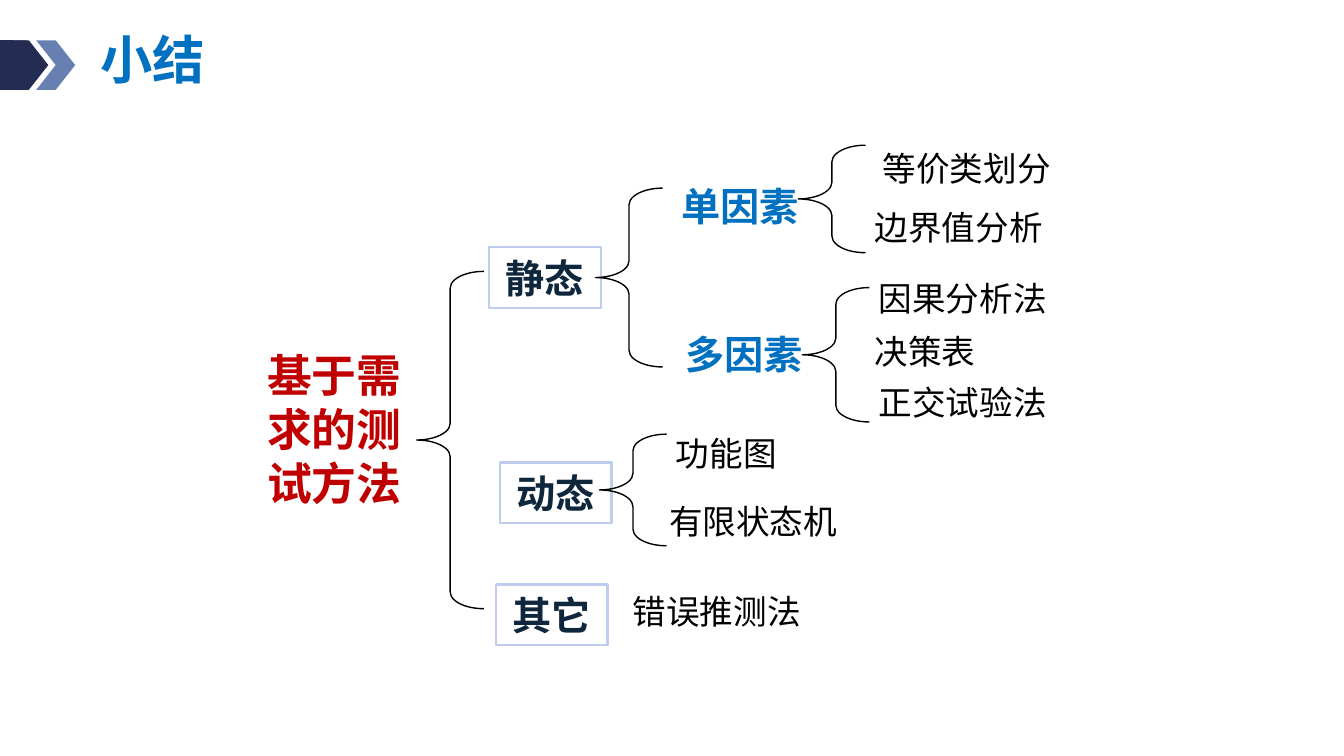
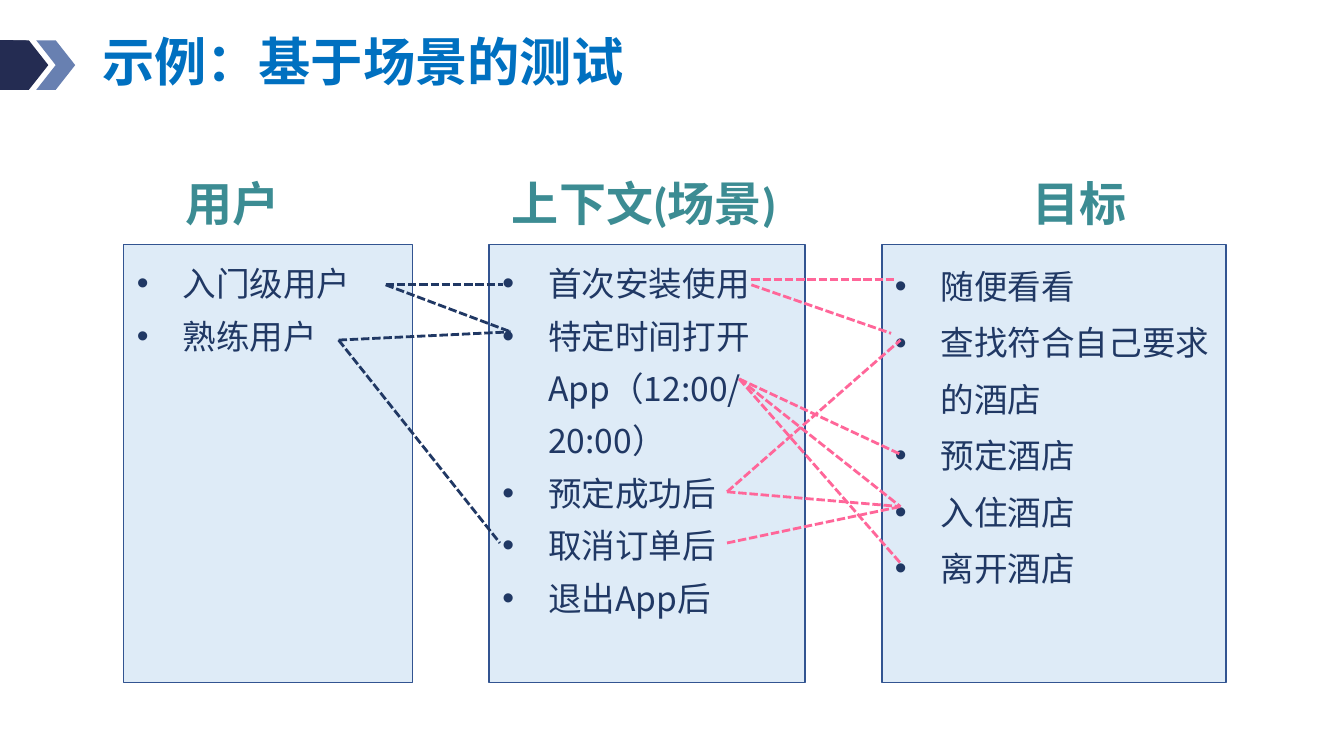
from lxml.etree import SubElement
from pptx import Presentation
from pptx.dml.color import RGBColor
from pptx.enum.dml import MSO_LINE_DASH_STYLE as DASH
from pptx.enum.shapes import MSO_CONNECTOR as CONNECTOR, MSO_SHAPE as SHAPE
from pptx.enum.text import MSO_ANCHOR as ANCHOR, MSO_AUTO_SIZE as AUTO_SIZE, PP_ALIGN as ALIGN
from pptx.oxml.ns import qn
from pptx.util import Pt

COLORS = {
    "navy": "242C52", "steel": "6880B1", "blue": "0070C0", "red": "C00000",
    "black": "000000", "ink": "0F273D", "frame": "C0CBF0", "teal": "3C8C93",
    "panel": "DEEBF7", "panel_edge": "325491", "panel_text": "203864", "pink": "FF6699",
}
LATIN, CJK = "Calibri", "Noto Sans CJK SC"

LEAF = dict(width=140.4, height=29, size=18, color="black", align=ALIGN.LEFT)
LABELS = {
    "root": dict(width=108.7, height=94.3, size=24, color="red", bold=True, align=ALIGN.LEFT),
    "kind": dict(width=59.8, height=32.4, size=21, color="ink", bold=True,
                 align=ALIGN.CENTER, frame="frame"),
    "factor": dict(width=78.5, height=32.4, size=21, color="blue", bold=True, align=ALIGN.CENTER),
    "leaf": LEAF,
    "short_leaf": LEAF | {"width": 106.6},
}
# Brace left, top and height in the tree, then its labels measured from the brace
BRANCHES = [
    (87.2, 69.4, 180.7, [("kind", "静态", 38.9, -12.9), ("kind", "动态", 44.6, 102.3),
                         ("kind", "其它", 42.5, 167.8)]),
    (183, 24.8, 95.8, [("factor", "单因素", 38.1, -6.5), ("factor", "多因素", 40.3, 72.7)]),
    (291.7, 1.8, 57.6, [("short_leaf", "等价类划分", 38.1, -2.2), ("leaf", "边界值分析", 33.8, 29.5)]),
    (293.8, 78.1, 72, [("leaf", "因果分析法", 33.9, -8.7), ("leaf", "决策表", 31.7, 19.4),
                       ("leaf", "正交试验法", 33.9, 46.8)]),
    (185.1, 156.6, 59.8, [("leaf", "功能图", 33.9, -4.4), ("leaf", "有限状态机", 30.3, 32.4)]),
]

# Panel left and width on the board, line spacing, top inset, items
PANELS = [
    (0, 154.8, 1.3, 3.6, ["入门级用户", "熟练用户"]),
    (195.9, 169.2, 1.3, 3.6, ["首次安装使用", "特定时间打开App（12:00/ 20:00）", "预定成功后",
                              "取消订单后", "退出App后"]),
    (406.1, 184.3, 1.4, 2.9, ["随便看看", "查找符合自己要求的酒店", "预定酒店", "入住酒店", "离开酒店"]),
]
PORTS = {
    "novice": (140.4, 21.6), "skilled": (115.2, 51.2),
    "to_first": (203.1, 21.6), "to_timed": (207.4, 46.8), "to_cancelled": (201.6, 159.9),
    "first_top": (336.3, 18.8), "first": (336.3, 21.6), "timed": (329.8, 72),
    "booked": (323.3, 132.5), "cancelled": (323.3, 159.9),
    "browse": (414, 18.8), "search_top": (411.2, 47.6), "search": (416.2, 51.2),
    "book": (416.2, 112.4), "stay": (416.2, 140.4), "leave": (416.2, 170.7),
}
LINKS = {
    "panel_text": [("novice", "to_first"), ("novice", "to_timed"),
                   ("skilled", "to_timed"), ("skilled", "to_cancelled")],
    "pink": [("first_top", "browse"), ("first", "search_top"),
             ("timed", "book"), ("timed", "stay"), ("timed", "leave"),
             ("booked", "search"), ("booked", "stay"), ("cancelled", "stay")],
}


def rgb(name):
    return RGBColor.from_string(COLORS[name])


def format_runs(paragraph, size, color, bold=False, latin=LATIN):
    for run in paragraph.runs:
        font = run.font
        font.size, font.bold, font.name = Pt(size), bold, latin
        font.color.rgb = rgb(color)
        SubElement(font._element, qn("a:ea"), typeface=CJK)


def add_outline(slide, preset, left, top, width, height, fill=None, line=None, weight=1):
    shape = slide.shapes.add_shape(preset, Pt(left), Pt(top), Pt(width), Pt(height))
    shape.shadow.inherit = False
    if fill:
        shape.fill.solid()
        shape.fill.fore_color.rgb = rgb(fill)
    else:
        shape.fill.background()
    if line:
        shape.line.color.rgb = rgb(line)
        shape.line.width = Pt(weight)
    else:
        shape.line.fill.background()
    return shape


def add_badge(slide, left, top, height=26.6):
    tail = add_outline(slide, SHAPE.ROUNDED_RECTANGLE, left, top, 25.2, height, "navy")
    tail.adjustments[0] = 0.1
    for offset, fill in ((28.8, "steel"), (14.4, "navy")):
        add_outline(slide, SHAPE.CHEVRON, left + offset, top, 20.9, height, fill)


def add_titled_slide(deck, heading, left, top, width, height):
    slide = deck.slides.add_slide(deck.slide_layouts[5])
    add_badge(slide, -9.4, 21.6)
    title = slide.shapes.title
    title.left, title.top, title.width, title.height = map(Pt, (left, top, width, height))
    frame = title.text_frame
    frame.text = heading
    frame.auto_size = AUTO_SIZE.NONE
    frame.vertical_anchor = ANCHOR.MIDDLE
    paragraph = frame.paragraphs[0]
    paragraph.alignment, paragraph.line_spacing = ALIGN.LEFT, 0.9
    format_runs(paragraph, 28, "blue", True, CJK)
    return slide


def add_label(slide, text, left, top, width, height, size, color, align, bold=False, frame=None):
    if frame:
        label = add_outline(slide, SHAPE.RECTANGLE, left, top, width, height, line=frame, weight=1.25)
    else:
        label = slide.shapes.add_textbox(Pt(left), Pt(top), Pt(width), Pt(height))
    body = label.text_frame
    body.text = text
    body.word_wrap = True
    body.auto_size = AUTO_SIZE.SHAPE_TO_FIT_TEXT
    body.vertical_anchor = ANCHOR.TOP
    body.paragraphs[0].alignment = align
    format_runs(body.paragraphs[0], size, color, bold)
    return label


def add_branch(slide, left, top, height, labels):
    """Draw a brace and the labels it gathers."""
    brace = add_outline(slide, SHAPE.LEFT_BRACE, left, top, 36, height, line="black", weight=0.75)
    brace.adjustments[0] = 0.249
    for style, text, dx, dy in labels:
        add_label(slide, text, left + dx, top + dy, **LABELS[style])


def add_method_tree(slide, left, top):
    add_label(slide, "基于需求的测试方法", left, top + 106.9, **LABELS["root"])
    for dx, dy, height, labels in BRANCHES:
        add_branch(slide, left + dx, top + dy, height, labels)
    add_label(slide, "错误推测法", left + 195.9, top + 237.2, **LABELS["leaf"])


def add_panel(slide, left, top, width, height, spacing, inset, items):
    panel = add_outline(slide, SHAPE.RECTANGLE, left, top, width, height, "panel", "panel_edge")
    frame = panel.text_frame
    frame.text = "\n".join(items)
    frame.word_wrap = True
    frame.vertical_anchor = ANCHOR.TOP
    frame.margin_top = frame.margin_bottom = Pt(inset)
    for paragraph in frame.paragraphs:
        paragraph.alignment, paragraph.line_spacing = ALIGN.LEFT, spacing
        properties = paragraph._p.get_or_add_pPr()
        indent = Pt(24.5)
        properties.set("marL", str(indent))
        properties.set("indent", str(-indent))
        SubElement(properties, qn("a:buFont"), typeface="Arial")
        SubElement(properties, qn("a:buChar"), char="•")
        format_runs(paragraph, 18, "panel_text", latin=CJK)


def add_panel_headings(slide, left, top):
    headings = add_label(slide, "用户\t上下文(场景)\t目标", left, top, 542.9, 37.4,
                         25.2, "teal", ALIGN.LEFT, True)
    headings.text_frame.margin_left = Pt(18.7)
    properties = headings.text_frame.paragraphs[0]._p.get_or_add_pPr()
    stops = SubElement(properties, qn("a:tabLst"))
    for position in (175, 454):
        SubElement(stops, qn("a:tab"), pos=str(Pt(position)), algn="l")


def add_link(slide, start, end, color):
    link = slide.shapes.add_connector(CONNECTOR.STRAIGHT, *map(Pt, start + end))
    link.line.color.rgb = rgb(color)
    link.line.width = Pt(1.5)
    link.line.dash_style = DASH.SQUARE_DOT
    SubElement(link._element.spPr, qn("a:effectLst"))


def add_scenario_board(slide, left, top, height):
    for dx, width, spacing, inset, items in PANELS:
        add_panel(slide, left + dx, top, width, height, spacing, inset, items)
    add_panel_headings(slide, left + 14.4, top - 41)
    ports = {name: (left + dx, top + dy) for name, (dx, dy) in PORTS.items()}
    for color, pairs in LINKS.items():
        for start, end in pairs:
            add_link(slide, ports[start], ports[end], color)


def main():
    deck = Presentation()
    deck.slide_width, deck.slide_height = Pt(720), Pt(405)
    summary = add_titled_slide(deck, "小结", 46.8, 18.7, 274.3, 29.5)
    add_method_tree(summary, 136, 76)
    example = add_titled_slide(deck, "示例：基于场景的测试", 47.5, 0.7, 444.2, 67.7)
    add_scenario_board(example, 66.2, 131, 234.7)
    deck.save("out.pptx")


if __name__ == "__main__":
    main()
